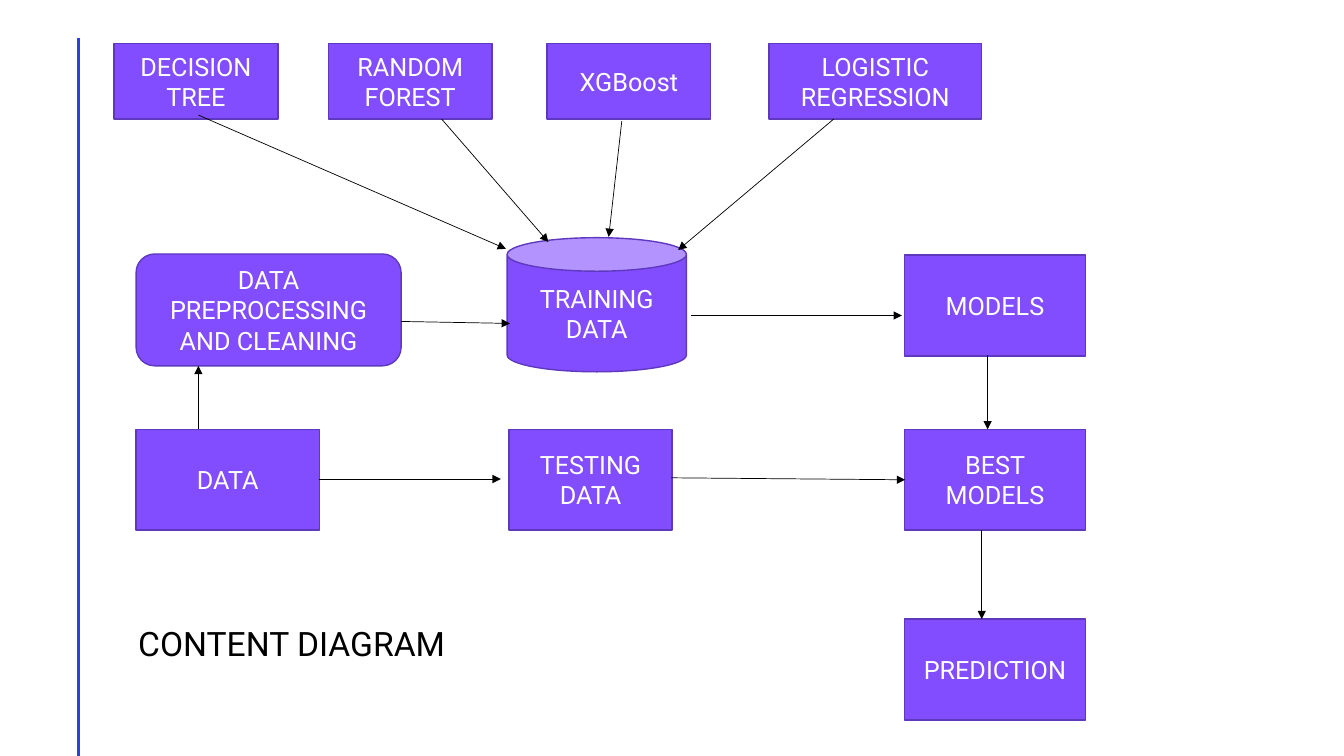
from lxml import etree
from pptx import Presentation
from pptx.dml.color import RGBColor
from pptx.enum.shapes import MSO_CONNECTOR, MSO_SHAPE
from pptx.enum.text import MSO_ANCHOR, MSO_AUTO_SIZE, PP_ALIGN
from pptx.oxml.ns import qn
from pptx.util import Cm, Pt

RECT = MSO_SHAPE.RECTANGLE
ROUNDED = MSO_SHAPE.ROUNDED_RECTANGLE
CAN = MSO_SHAPE.CAN
STRAIGHT = MSO_CONNECTOR.STRAIGHT
MIDDLE, TOP = MSO_ANCHOR.MIDDLE, MSO_ANCHOR.TOP
CENTER, LEFT = PP_ALIGN.CENTER, PP_ALIGN.LEFT
NO_AUTOFIT = MSO_AUTO_SIZE.NONE

FONT = "Roboto"
PURPLE, DARK_PURPLE = "814DFF", "5F39BD"
WHITE, BLACK, BLUE = "FFFFFF", "000000", "2F3FE0"
TITLE_ONLY = 5

# Shared grid, in centimetres
BOX_HEIGHT = 2.54
ALGORITHM_TOP, ALGORITHM_HEIGHT = 1.09, 1.91
DATA_LEFT, DATA_TOP = 3.43, 10.82
MODEL_LEFT, MODEL_WIDTH = 22.8, 4.55

# Label, left, width
ALGORITHMS = [
    ("DECISION TREE", 2.87, 4.14),
    ("RANDOM FOREST", 8.28, 4.12),
    ("XGBoost", 13.79, 4.12),
    ("LOGISTIC REGRESSION", 19.38, 5.36),
]
# Label, top
MODEL_STEPS = [("MODELS", 6.43), ("BEST MODELS", DATA_TOP), ("PREDICTION", 15.6)]
# Preset, lines, left, top, width, height
DATA_STEPS = [
    (ROUNDED, ["DATA PREPROCESSING", "AND CLEANING"], DATA_LEFT, 6.4, 6.68, 2.82),
    (CAN, ["TRAINING", "DATA"], 12.78, 5.99, 4.52, 3.38),
    (RECT, ["DATA"], DATA_LEFT, DATA_TOP, 4.62, BOX_HEIGHT),
    (RECT, ["TESTING", "DATA"], 12.83, DATA_TOP, 4.11, BOX_HEIGHT),
]
# Start x, start y, end x, end y
ARROWS = [
    # Algorithms to training data
    (5.0, 2.9, 12.75, 6.27),
    (11.13, 3.0, 13.82, 6.1),
    (15.67, 3.05, 15.34, 5.97),
    (21.01, 3.0, 17.09, 6.3),
    # Training row
    (10.11, 8.1, 12.85, 8.15),
    (17.42, 7.95, 22.73, 7.95),
    # Testing row
    (8.03, 12.07, 12.62, 12.07),
    (16.92, 12.04, 22.81, 12.09),
    # Vertical steps
    (5.0, 10.8, 5.0, 9.22),
    (24.89, 8.94, 24.89, 10.82),
    (24.74, 13.36, 24.74, 15.6),
]


def colour(value):
    return RGBColor.from_string(value)


def set_values(target, values):
    for name, value in values.items():
        setattr(target, name, value)


def write_text(frame, lines, size, text_colour, align, anchor):
    set_values(frame, {"word_wrap": True, "auto_size": NO_AUTOFIT,
                       "vertical_anchor": anchor})
    for index, line in enumerate(lines):
        para = frame.add_paragraph() if index else frame.paragraphs[0]
        para.alignment = align
        span = para.add_run()
        span.text = line
        set_values(span.font, {"name": FONT, "size": Pt(size)})
        span.font.color.rgb = colour(text_colour)


def add_box(slide, preset, lines, left, top, width, height):
    box = slide.shapes.add_shape(preset, Cm(left), Cm(top), Cm(width), Cm(height))
    box.shadow.inherit = False
    box.fill.solid()
    box.fill.fore_color.rgb = colour(PURPLE)
    box.line.color.rgb = colour(DARK_PURPLE)
    box.line.width = Pt(1)
    write_text(box.text_frame, lines, 18, WHITE, CENTER, MIDDLE)


def add_line(slide, points, line_colour, width, arrow=False):
    line = slide.shapes.add_connector(STRAIGHT, *[Cm(value) for value in points])
    line.line.color.rgb = colour(line_colour)
    line.line.width = Pt(width)
    if arrow:
        outline = line.line._get_or_add_ln()
        etree.SubElement(outline, qn("a:tailEnd"), type="triangle")
    etree.SubElement(line._element.spPr, qn("a:effectLst"))


def add_title(slide, text):
    title = slide.shapes.title
    set_values(title, {"left": Cm(3.23), "top": Cm(15.57),
                       "width": Cm(10.08), "height": Cm(1.27)})
    write_text(title.text_frame, [text], 24, BLACK, LEFT, TOP)


def main():
    deck = Presentation()
    set_values(deck, {"slide_width": Cm(33.87), "slide_height": Cm(19.05)})
    page = deck.slides.add_slide(deck.slide_layouts[TITLE_ONLY])

    # Title and side rule
    add_title(page, "CONTENT DIAGRAM")
    add_line(page, (1.98, 0.97, 1.98, 19.05), BLUE, 2)

    # Boxes
    for label, left, width in ALGORITHMS:
        add_box(page, RECT, [label], left, ALGORITHM_TOP, width, ALGORITHM_HEIGHT)
    for step in DATA_STEPS:
        add_box(page, *step)
    for label, top in MODEL_STEPS:
        add_box(page, RECT, [label], MODEL_LEFT, top, MODEL_WIDTH, BOX_HEIGHT)

    # Arrows
    for points in ARROWS:
        add_line(page, points, BLACK, 0.5, arrow=True)

    deck.save("out.pptx")


if __name__ == "__main__":
    main()
